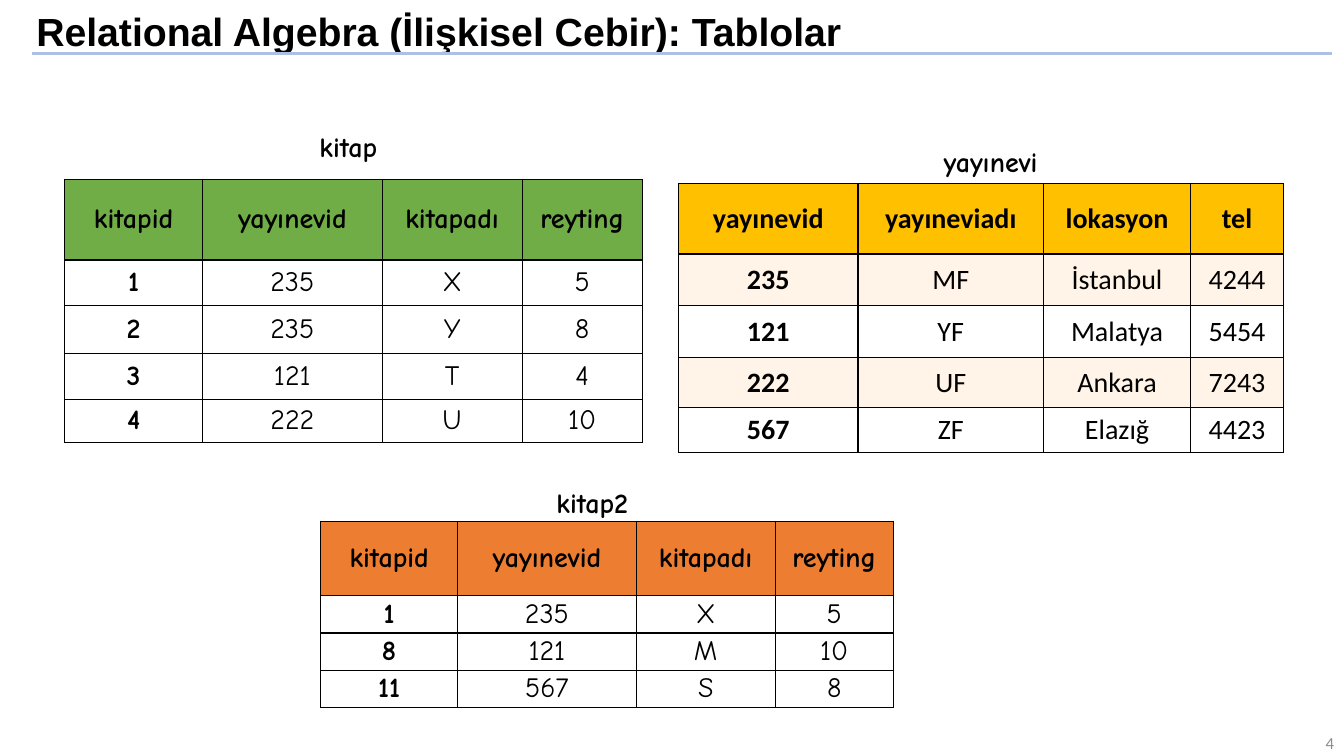
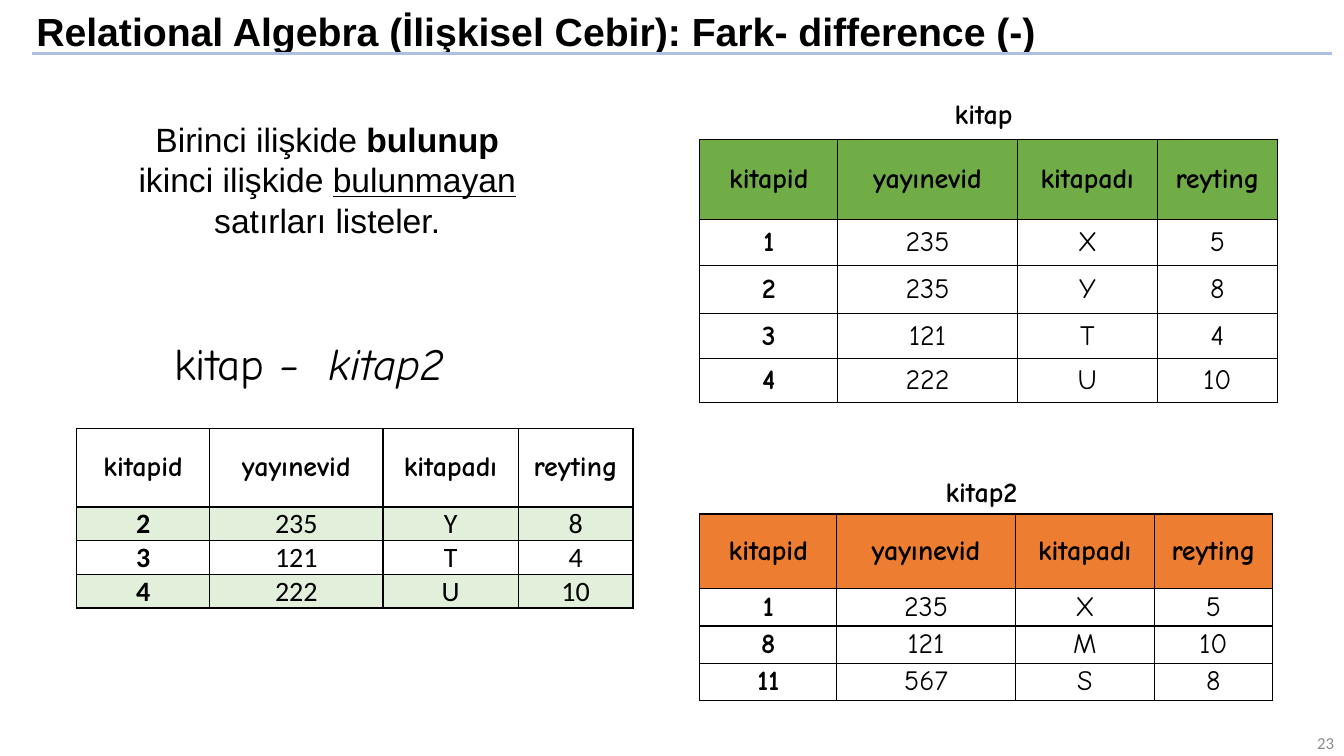
from dataclasses import dataclass

from lxml.etree import SubElement
from pptx import Presentation
from pptx.dml.color import RGBColor
from pptx.enum.shapes import MSO_CONNECTOR
from pptx.enum.text import MSO_ANCHOR as ANCHOR, MSO_AUTO_SIZE as AUTO, PP_ALIGN as ALIGN
from pptx.oxml.ns import qn
from pptx.util import Emu, Pt

PX = 9144  # 100 px to the inch
COLORS = {
    "black": "000000", "white": "FFFFFF", "rule": "ABC0E4", "number": "8C8C8C",
    "green": "70AD47", "pale_green": "E2EFDA", "orange": "ED7D31",
    "gold": "FFC000", "cream": "FFF4E7",
}
SANS, BODY, HAND = "Arial", "Calibri", "Comic Neue"


@dataclass
class Relation:
    """A relation's rows and the look of its table."""
    data: list
    cols: list
    rows: list
    head: str
    band: str = "white"
    head_font: str = HAND
    body_font: str = HAND


BOOK_HEAD = ["kitapid", "yayınevid", "kitapadı", "reyting"]
BOOKS = [["1", "235", "X", "5"], ["2", "235", "Y", "8"],
         ["3", "121", "T", "4"], ["4", "222", "U", "10"]]

KITAP = Relation([BOOK_HEAD] + BOOKS, [137, 178, 139, 119], [80, 45, 48, 45, 43], "green")
KITAP2 = Relation(
    [BOOK_HEAD, ["1", "235", "X", "5"], ["8", "121", "M", "10"], ["11", "567", "S", "8"]],
    [136, 177, 138, 117], [74, 37, 37, 37], "orange")
YAYINEVI = Relation(
    [["yayınevid", "yayıneviadı", "lokasyon", "tel"],
     ["235", "MF", "İstanbul", "4244"], ["121", "YF", "Malatya", "5454"],
     ["222", "UF", "Ankara", "7243"], ["567", "ZF", "Elazığ", "4423"]],
    [178, 184, 146, 92], [70, 51, 52, 49, 45], "gold", "cream", BODY, BODY)
DIFFERENCE = Relation([BOOK_HEAD] + BOOKS[1:], [132, 172, 134, 114], [78, 33, 33, 33],
                      "white", "pale_green", HAND, BODY)


def px(*lengths):
    return [Emu(n * PX) for n in lengths]


def rgb(name):
    return RGBColor.from_string(COLORS[name])


def set_font(p, name, size, bold=False, color="black"):
    p.font.name, p.font.size, p.font.bold = name, Pt(size), bold
    p.font.color.rgb = rgb(color)


# Shared slide parts
def add_slide(prs, title, number):
    s = prs.slides.add_slide(prs.slide_layouts[5])
    sp = s.shapes.title
    sp.left, sp.top, sp.width, sp.height = px(26, 4, 1179, 59)
    sp.fill.solid()
    sp.fill.fore_color.rgb = rgb("white")
    tf = sp.text_frame
    tf.text = title
    tf.auto_size, tf.vertical_anchor = AUTO.NONE, ANCHOR.MIDDLE
    p = tf.paragraphs[0]
    p.alignment, p.line_spacing, p.space_after = ALIGN.LEFT, 0.9, Pt(6)
    set_font(p, SANS, 28, True)

    rule = s.shapes.add_connector(MSO_CONNECTOR.STRAIGHT, *px(32, 53, 1321, 53))
    rule.line.color.rgb, rule.line.width = rgb("rule"), Pt(1.75)
    SubElement(rule._element.spPr, qn("a:effectLst"))

    tf = add_text(s, (1033, 723, 300, 27), [[number]], BODY, 12,
                  color="number", align=ALIGN.RIGHT)
    tf.vertical_anchor = ANCHOR.MIDDLE
    return s


# Text boxes: each line is a list of runs
def add_text(s, box, lines, font, size, bold=False, color="black",
             align=ALIGN.LEFT, wrap=True):
    tf = s.shapes.add_textbox(*px(*box)).text_frame
    tf.word_wrap = wrap
    for i, runs in enumerate(lines):
        p = tf.paragraphs[0] if i == 0 else tf.add_paragraph()
        p.alignment = align
        set_font(p, font, size, bold, color)
        for text in runs:
            p.add_run().text = text
    return tf


def add_label(s, x, y, w, text):
    add_text(s, (x, y, w, 44), [[text]], HAND, 20, True, wrap=False)


def add_definition(s):
    tf = add_text(s, (32, 113, 585, 131),
                  [["Birinci ilişkide ", "bulunup"],
                   ["ikinci ilişkide ", "bulunmayan"],
                   ["satırları listeler."]], SANS, 24, align=ALIGN.CENTER)
    tf.paragraphs[0].runs[1].font.bold = True
    tf.paragraphs[1].runs[1].font.underline = True


def add_formula(s):
    tf = add_text(s, (163, 328, 323, 64), [["kitap ", "−\tkitap2"]], HAND, 32, wrap=False)
    p = tf.paragraphs[0]
    p.runs[1].font.italic = True
    tabs = SubElement(p._p.pPr, qn("a:tabLst"))
    SubElement(tabs, qn("a:tab"), pos=str(153 * PX), algn="l")
    p._p.pPr.insert(0, tabs)


# Tables
def add_borders(cell):
    tcPr = cell._tc.get_or_add_tcPr()
    for side in ("a:lnL", "a:lnR", "a:lnT", "a:lnB"):
        ln = SubElement(tcPr, qn(side), w=str(Pt(1)))
        fill = SubElement(ln, qn("a:solidFill"))
        SubElement(fill, qn("a:srgbClr"), val=COLORS["black"])


def add_relation(s, x, y, rel):
    box = px(x, y, sum(rel.cols), sum(rel.rows))
    tbl = s.shapes.add_table(len(rel.rows), len(rel.cols), *box).table
    tbl.first_row = tbl.horz_banding = False
    for sizes, widths in ((rel.cols, tbl.columns), (rel.rows, tbl.rows)):
        for size, part in zip(sizes, widths):
            if widths is tbl.columns or sizes is rel.cols:
                part.width = Emu(size * PX)
            else:
                part.height = Emu(size * PX)
    for r, values in enumerate(rel.data):
        fill = rel.head if r == 0 else rel.band if r % 2 else "white"
        font = rel.body_font if r else rel.head_font
        for c, value in enumerate(values):
            cell = tbl.cell(r, c)
            cell.text = value
            cell.vertical_anchor = ANCHOR.MIDDLE
            cell.margin_left, cell.margin_right, cell.margin_top, cell.margin_bottom = px(5, 5, 0, 0)
            add_borders(cell)
            cell.fill.solid()
            cell.fill.fore_color.rgb = rgb(fill)
            p = cell.text_frame.paragraphs[0]
            p.alignment = ALIGN.CENTER
            set_font(p, font, 20, r == 0 or c == 0)


def main():
    prs = Presentation()
    prs.slide_width, prs.slide_height = px(1333, 750)

    # Tables
    s = add_slide(prs, "Relational Algebra (İlişkisel Cebir): Tablolar", "4")
    add_label(s, 307, 124, 87, "kitap")
    add_label(s, 542, 477, 104, "kitap2")
    add_label(s, 926, 138, 126, "yayınevi")
    add_relation(s, 64, 178, KITAP)
    add_relation(s, 673, 182, YAYINEVI)
    add_relation(s, 318, 517, KITAP2)

    # Difference
    s = add_slide(prs, "Relational Algebra (İlişkisel Cebir): Fark- difference (-)", "23")
    add_label(s, 937, 91, 87, "kitap")
    add_label(s, 928, 466, 104, "kitap2")
    add_relation(s, 694, 138, KITAP)
    add_relation(s, 694, 510, KITAP2)
    add_formula(s)
    add_definition(s)
    add_relation(s, 76, 425, DIFFERENCE)

    prs.save("out.pptx")


if __name__ == "__main__":
    main()
